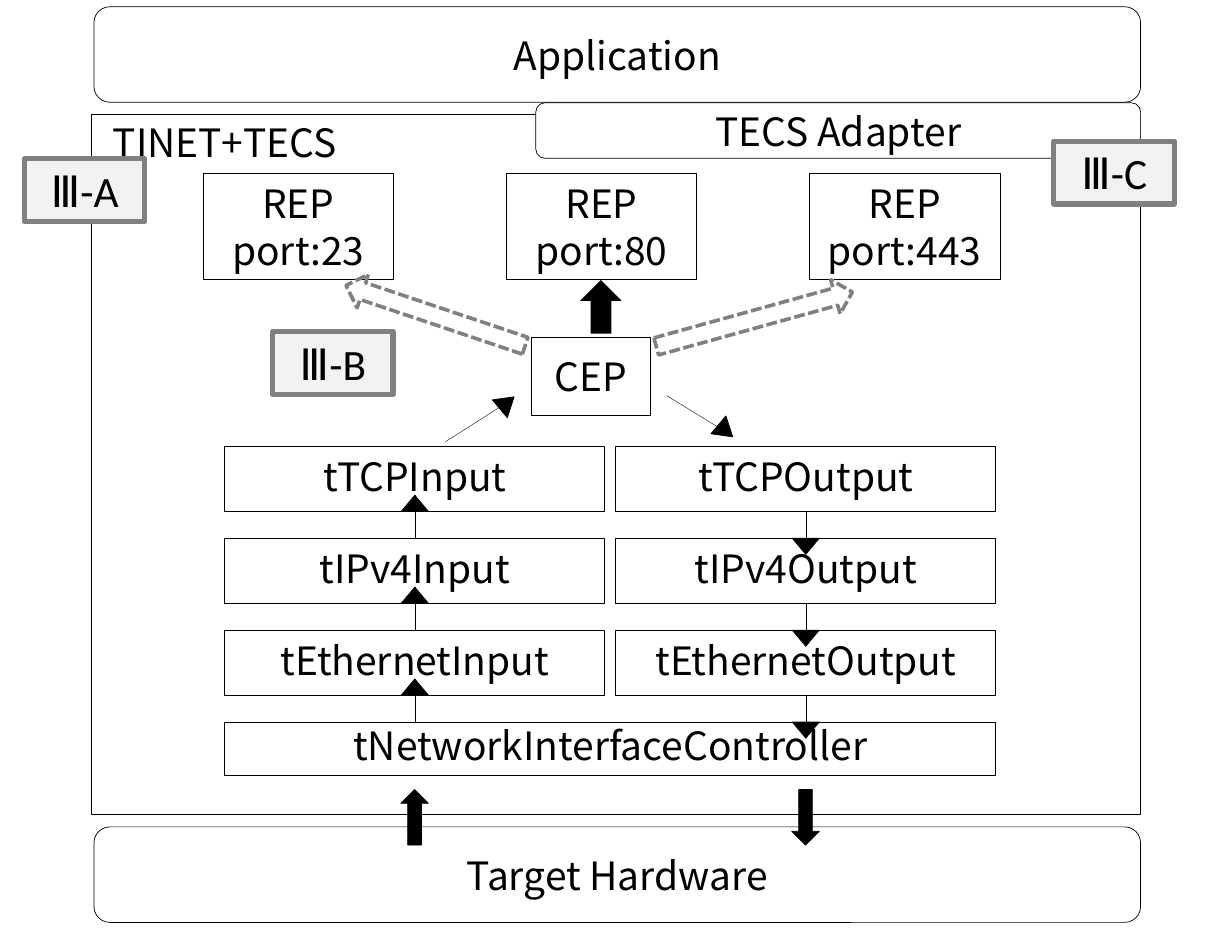
from lxml import etree
from pptx import Presentation, util as u
from pptx.dml.color import RGBColor
from pptx.enum import dml, shapes, text
from pptx.oxml.ns import qn

WIDTH, HEIGHT = 23.73, 18.07
COLOURS = {"ink": "000000", "paper": "FFFFFF", "grey": "808080", "badge": "F2F2F2"}
DIAGRAM_FONT, BADGE_FONT = "Noto Sans CJK JP", "Calibri"
KIND = shapes.MSO_SHAPE

# Grid of the protocol stack
STACK_TOP, ROW_STEP, ROW_HEIGHT = 8.6, 1.77, 1.25
INPUT_LEFT, OUTPUT_LEFT, LAYER_WIDTH = 4.33, 11.86, 7.32
INPUT_AXIS, OUTPUT_AXIS = INPUT_LEFT + LAYER_WIDTH / 2, OUTPUT_LEFT + LAYER_WIDTH / 2
LAYERS = ["TCP", "IPv4", "Ethernet"]
HEAD_WIDTH, HEAD_HEIGHT = 0.52, 0.31


def colour(name):
    """Return the named colour."""
    return RGBColor.from_string(COLOURS[name])


def write(frame, wording, font=DIAGRAM_FONT, size=54, spacing=None):
    """Fill a text frame with centred lines."""
    frame.word_wrap = True
    frame.vertical_anchor = text.MSO_ANCHOR.MIDDLE
    frame.text = wording
    for paragraph in frame.paragraphs:
        paragraph.alignment = text.PP_ALIGN.CENTER
        paragraph.line_spacing = spacing
        paragraph.font.name, paragraph.font.size = font, u.Pt(size)
        paragraph.font.color.rgb = colour("ink")


def block(slide, place, kind=KIND.RECTANGLE, fill="paper", line="ink", weight=1, turn=0):
    """Add a preset shape at (left, top, width, height)."""
    part = slide.shapes.add_shape(kind, *map(u.Inches, place))
    part.shadow.inherit = False
    part.rotation = turn
    if fill:
        part.fill.solid()
        part.fill.fore_color.rgb = colour(fill)
    else:
        part.fill.background()
    if line:
        part.line.color.rgb = colour(line)
        part.line.width = u.Pt(weight)
    else:
        part.line.fill.background()
    return part


def labelled(slide, place, wording, kind=KIND.RECTANGLE, spacing=None):
    """Add a white block with its label and return the label's frame."""
    frame = block(slide, place, kind).text_frame
    write(frame, wording, spacing=spacing)
    return frame


def badge(slide, left, top, letter):
    """Add a grey section badge."""
    mark = block(slide, (left, top, 2.32, 1.21), fill="badge", line="grey", weight=7)
    write(mark.text_frame, "\u2162-" + letter, BADGE_FONT, 60)


def dashed_arrow(slide, place, turn):
    """Add a hollow dashed arrow for a possible connection."""
    route = block(slide, place, KIND.RIGHT_ARROW, None, "grey", 5, turn)
    route.line.dash_style = dml.MSO_LINE.SQUARE_DOT


def flow(slide, start, end, head, turn):
    """Add a thin line and the triangle that heads it."""
    stem = slide.shapes.add_connector(
        shapes.MSO_CONNECTOR.STRAIGHT, *map(u.Inches, (*start, *end)))
    stem.line.color.rgb = colour("ink")
    stem.line.width = u.Pt(0.5)
    etree.SubElement(stem._element.spPr, qn("a:effectLst"))
    block(slide, head, KIND.ISOSCELES_TRIANGLE, "ink", turn=turn)


def endpoints(slide):
    """Add the reception points, the CEP and the arrows between them."""
    labelled(slide, (10.24, 6.49, 2.28, 1.51), "CEP")
    for column, port in enumerate((23, 80, 443)):
        labelled(slide, (3.91 + 5.84 * column, 3.34, 3.67, 2.05), f"REP\nport:{port}")
    dashed_arrow(slide, (6.57, 5.74, 3.64, 0.68), 198.6)
    block(slide, (11.06, 5.51, 1.03, 0.8), KIND.RIGHT_ARROW, "ink", None, turn=270)
    dashed_arrow(slide, (12.57, 5.81, 3.92, 0.68), 344.5)


def protocol_stack(slide):
    """Add the input and output layers, the controller and their flows."""
    controller_top = STACK_TOP + len(LAYERS) * ROW_STEP
    controller = labelled(
        slide, (INPUT_LEFT, controller_top, OUTPUT_LEFT + LAYER_WIDTH - INPUT_LEFT, 1.02),
        "tNetworkInterfaceController", spacing=0.9)
    controller.vertical_anchor = text.MSO_ANCHOR.BOTTOM
    controller.margin_bottom = u.Inches(0.11)
    tops = [STACK_TOP + row * ROW_STEP for row in range(len(LAYERS))]
    for top, layer in zip(tops, LAYERS):
        for left, way in ((INPUT_LEFT, "Input"), (OUTPUT_LEFT, "Output")):
            labelled(slide, (left, top, LAYER_WIDTH, ROW_HEIGHT), f"t{layer}{way}", spacing=0.9)
    for top in tops:
        bottom, below = top + ROW_HEIGHT, top + ROW_STEP
        tip = bottom - HEAD_HEIGHT
        for axis, start, end, head, turn in (
                (INPUT_AXIS, below, tip, tip, 0),
                (OUTPUT_AXIS, bottom, below + HEAD_HEIGHT, below, 180)):
            flow(slide, (axis, start), (axis, end),
                 (axis - HEAD_WIDTH / 2, head, HEAD_WIDTH, HEAD_HEIGHT), turn)
    flow(slide, (8.58, 8.51), (9.9, 7.67), (9.54, 7.58, 0.45, 0.36), 50)
    flow(slide, (12.84, 7.62), (14.11, 8.4), (13.75, 8.12, 0.45, 0.36), 130)


def surroundings(slide):
    """Add the application, the framework's frame, the adapter and the hardware."""
    labelled(slide, (1.81, 0.13, 20.16, 1.84), "Application", KIND.ROUNDED_RECTANGLE)
    block(slide, (1.76, 2.21, 20.21, 13.48), fill=None)
    title = slide.shapes.add_textbox(*map(u.Inches, (1.81, 1.93, 5.04, 1.59)))
    write(title.text_frame, "TINET+TECS")
    labelled(slide, (10.32, 1.98, 11.65, 1.07), "TECS Adapter", KIND.ROUNDED_RECTANGLE)
    labelled(slide, (1.81, 15.93, 20.16, 1.84), "Target Hardware", KIND.ROUNDED_RECTANGLE)


def main():
    """Build and save the slide."""
    deck = Presentation()
    deck.slide_width, deck.slide_height = u.Inches(WIDTH), u.Inches(HEIGHT)
    slide = deck.slides.add_slide(deck.slide_layouts[6])
    endpoints(slide)
    protocol_stack(slide)
    surroundings(slide)
    for left, top, letter in ((0.47, 3.06, "A"), (5.25, 6.39, "B"), (20.3, 2.72, "C")):
        badge(slide, left, top, letter)
    for axis, turn in ((INPUT_AXIS, 0), (OUTPUT_AXIS, 180)):
        block(slide, (axis - 0.27, 15.21, 0.53, 1.07), KIND.UP_ARROW, "ink", turn=turn)
    deck.save("out.pptx")


main()
